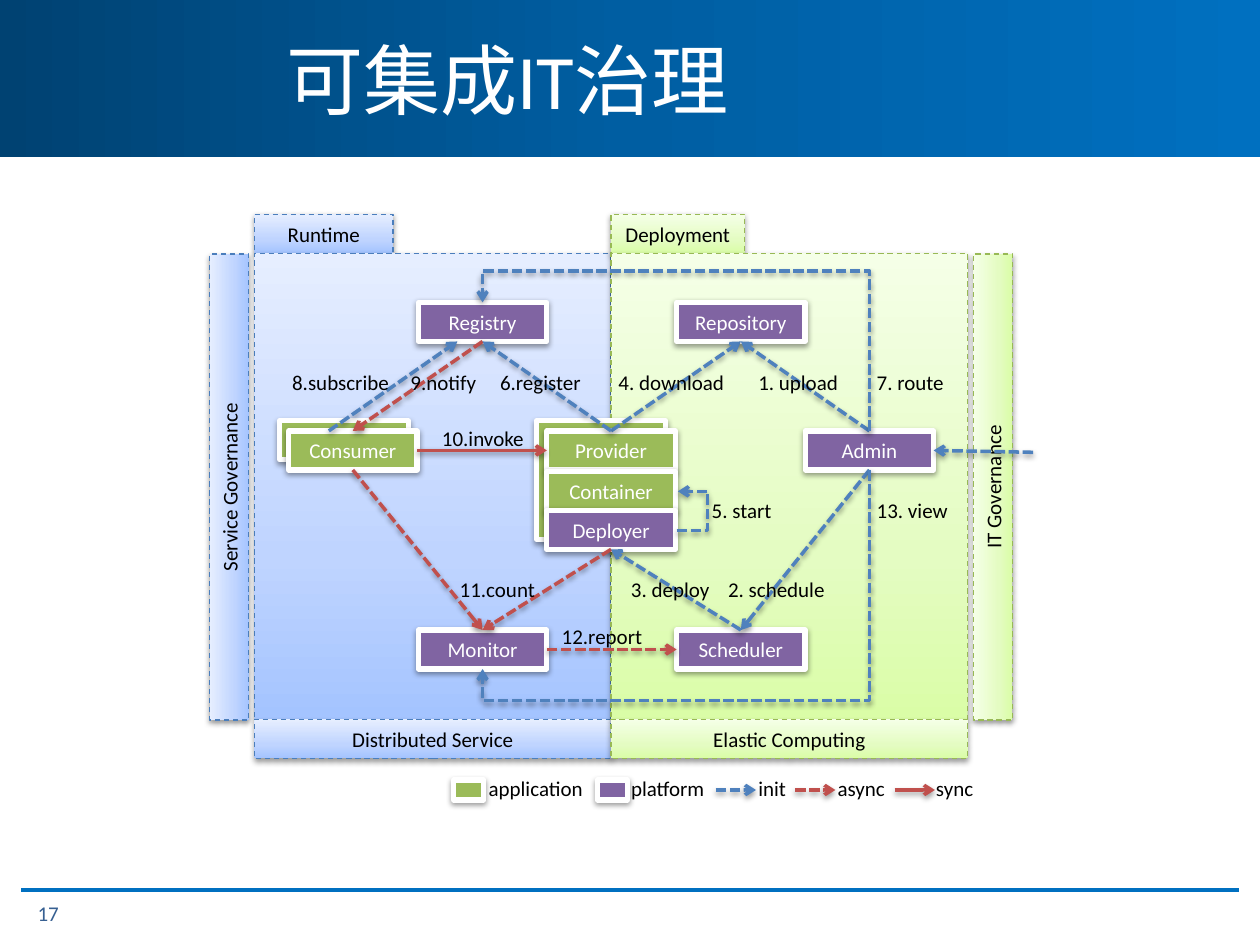
from lxml.etree import SubElement
from pptx import Presentation
from pptx.dml.color import RGBColor
from pptx.enum.dml import MSO_LINE
from pptx.enum.shapes import MSO_CONNECTOR, MSO_SHAPE
from pptx.enum.text import MSO_ANCHOR, MSO_AUTO_SIZE, PP_ALIGN
from pptx.oxml.ns import qn
from pptx.util import Emu, Pt

SCALE = 9144  # EMU per px, at 100 px to the inch
TOP, LEFT, BOTTOM, RIGHT = range(4)
GREEN, PURPLE, BLUE, RED, WHITE = "9BBB59", "8064A2", "4F81BD", "C0504D", "FFFFFF"
HEADER_STOPS = [(0, "004272"), (50, "005EA2"), (100, "0070C0")]
BLUE_PANEL = ([(0, "A4C4FF"), (35, "BFD4FF"), (100, "E6EEFF")], "4B7EBC")
GREEN_PANEL = ([(0, "DAFDA7"), (35, "E4FCC2"), (100, "F5FFE7")], "98B955")
NODE_WIDTH, NODE_HEIGHT = 102, 31
PANEL_WIDTH, PANEL_HEIGHT = 283, 370


def px(value):
    return Emu(round(value * SCALE))


def color(value):
    return RGBColor.from_string(value)


def write_text(frame, text, size=12, fill="000000", align=PP_ALIGN.LEFT,
               anchor=MSO_ANCHOR.MIDDLE, wrap=True):
    frame.word_wrap = wrap
    frame.vertical_anchor = anchor
    paragraph = frame.paragraphs[0]
    paragraph.alignment = align
    run = paragraph.add_run()
    run.text = text
    run.font.name = "Calibri"
    run.font.size = Pt(size)
    run.font.color.rgb = color(fill)


def fill_gradient(shape, stops, angle):
    shape.fill.gradient()
    shape.fill.gradient_angle = angle
    stop_list = shape.element.spPr.find(".//" + qn("a:gsLst"))
    for old_stop in list(stop_list):
        stop_list.remove(old_stop)
    for position, value in stops:
        stop = SubElement(stop_list, qn("a:gs"), pos=str(position * 1000))
        SubElement(stop, qn("a:srgbClr"), val=value)


def add_shadow(effects):
    shadow = SubElement(effects, qn("a:outerShdw"), blurRad="40000", dist="20000",
                        dir="5400000", rotWithShape="0")
    black = SubElement(shadow, qn("a:srgbClr"), val="000000")
    SubElement(black, qn("a:alpha"), val="38000")


class Diagram:
    """Holds the current slide and the look of its diagram parts."""

    def __init__(self, slide):
        self.slide = slide
        self.shapes = slide.shapes

    def rectangle(self, x, y, width, height):
        shape = self.shapes.add_shape(MSO_SHAPE.RECTANGLE, px(x), px(y), px(width), px(height))
        shape.shadow.inherit = False
        return shape

    def header(self, text):
        bar = self.rectangle(0, 0, 1000, 125)
        fill_gradient(bar, HEADER_STOPS, 0)
        bar.line.fill.background()
        title = self.shapes.title
        title.left, title.top, title.width, title.height = px(217), px(0), px(783), px(125)
        write_text(title.text_frame, text, size=44, fill=WHITE)
        bar.element.addnext(title.element)

    def footer(self, number):
        rule = self.shapes.add_connector(MSO_CONNECTOR.STRAIGHT, px(17), px(706), px(983), px(706))
        rule.line.color.rgb = color("0070C0")
        rule.line.width = Pt(2.25)
        SubElement(rule.element.spPr, qn("a:effectLst"))
        box = self.shapes.add_textbox(px(20), px(705), px(110), px(40))
        write_text(box.text_frame, number, fill="376092")

    def panel(self, x, y, width, height, look, text="", rotation=0):
        stops, outline = look
        shape = self.rectangle(x, y, width, height)
        fill_gradient(shape, stops, 90)
        shape.line.color.rgb = color(outline)
        shape.line.width = Pt(0.75)
        shape.line.dash_style = MSO_LINE.DASH
        shape.rotation = rotation
        add_shadow(shape.element.spPr.find(qn("a:effectLst")))
        if text:
            write_text(shape.text_frame, text, align=PP_ALIGN.CENTER)

    def node(self, x, y, fill, text="", width=NODE_WIDTH, height=NODE_HEIGHT):
        shape = self.rectangle(x, y, width, height)
        shape.fill.solid()
        shape.fill.fore_color.rgb = color(fill)
        shape.line.color.rgb = color(WHITE)
        shape.line.width = Pt(3)
        add_shadow(shape.element.spPr.find(qn("a:effectLst")))
        if text:
            write_text(shape.text_frame, text, fill=WHITE, align=PP_ALIGN.CENTER)
        return shape

    def label(self, x, y, width, text):
        box = self.shapes.add_textbox(px(x), px(y), px(width), px(30))
        write_text(box.text_frame, text, anchor=MSO_ANCHOR.TOP, wrap=False)
        box.text_frame.auto_size = MSO_AUTO_SIZE.SHAPE_TO_FIT_TEXT

    def arrow(self, start, end, stroke, dashed=True, kind=MSO_CONNECTOR.STRAIGHT):
        """Each end is an (x, y) point or a (shape, side) pair to join."""
        ends = [point if isinstance(point[0], int) else (0, 0) for point in (start, end)]
        connector = self.shapes.add_connector(kind, *(px(value) for point in ends for value in point))
        if not isinstance(start[0], int):
            connector.begin_connect(*start)
        if not isinstance(end[0], int):
            connector.end_connect(*end)
        connector.line.color.rgb = color(stroke)
        connector.line.width = Pt(2)
        if dashed:
            connector.line.dash_style = MSO_LINE.SQUARE_DOT
        SubElement(connector.line._get_or_add_ln(), qn("a:tailEnd"), type="arrow")
        add_shadow(SubElement(connector.element.spPr, qn("a:effectLst")))
        return connector

    def detour(self, start, end, box, bend, rotation=0, flip=False):
        """Elbow arrow; box is its unrotated frame, bend a multiple of its width."""
        connector = self.arrow(start, end, BLUE, kind=MSO_CONNECTOR.ELBOW)
        connector.left, connector.top, connector.width, connector.height = map(px, box)
        frame = connector.element.spPr.find(qn("a:xfrm"))
        frame.set("rot", str(rotation * 60000))
        frame.set("flipH", "0")
        frame.set("flipV", str(int(flip)))
        adjustments = connector.element.spPr.find(".//" + qn("a:avLst"))
        SubElement(adjustments, qn("a:gd"), name="adj1", fmla=f"val {round(bend * 100000)}")

    def vertical_detour(self, start, end, from_point, to_point, lane):
        """Leave vertically, run left along the lane, and return to the target."""
        (x1, y1), (x2, y2) = from_point, to_point
        rise, run = abs(y2 - y1), abs(x2 - x1)
        box = ((x1 + x2 - rise) / 2, (y1 + y2 - run) / 2, rise, run)
        upward = y2 < y1
        self.detour(start, end, box, (lane - y1) / (y2 - y1), 270 if upward else 90, upward)


def main():
    presentation = Presentation()
    presentation.slide_width, presentation.slide_height = px(1000), px(750)
    diagram = Diagram(presentation.slides.add_slide(presentation.slide_layouts[5]))
    diagram.header("可集成IT治理")
    diagram.footer("17")

    for x, tab_width, look, tab, base, side_x, side in (
            (202, 110, BLUE_PANEL, "Runtime", "Distributed Service", -3, "Service Governance"),
            (485, 106, GREEN_PANEL, "Deployment", "Elastic Computing", 603, "IT Governance")):
        diagram.panel(x, 170, tab_width, 31, look, tab)
        diagram.panel(x, 201, PANEL_WIDTH, PANEL_HEIGHT, look)
        diagram.panel(x, 571, PANEL_WIDTH, 31, look, base)
        diagram.panel(side_x, 371, PANEL_HEIGHT, 31, look, side, rotation=270)

    diagram.node(426, 334, GREEN, height=94)
    diagram.node(222, 334, GREEN)
    nodes = {name: diagram.node(x, y, fill, name) for name, x, y, fill in (
        ("Registry", 332, 240, PURPLE), ("Repository", 537, 240, PURPLE),
        ("Consumer", 229, 342, GREEN), ("Provider", 434, 342, GREEN),
        ("Admin", 639, 342, PURPLE), ("Container", 434, 374, GREEN),
        ("Deployer", 434, 405, PURPLE), ("Monitor", 332, 500, PURPLE),
        ("Scheduler", 537, 500, PURPLE))}

    for source, source_side, target, target_side, stroke, dashed in (
            ("Consumer", BOTTOM, "Monitor", TOP, RED, True),
            ("Consumer", RIGHT, "Provider", LEFT, RED, False),
            ("Registry", BOTTOM, "Consumer", TOP, RED, True),
            ("Provider", TOP, "Repository", BOTTOM, BLUE, True),
            ("Admin", TOP, "Repository", BOTTOM, BLUE, True),
            ("Monitor", RIGHT, "Scheduler", LEFT, RED, True),
            ("Admin", BOTTOM, "Scheduler", TOP, BLUE, True),
            ("Provider", TOP, "Registry", BOTTOM, BLUE, True),
            ("Deployer", BOTTOM, "Monitor", TOP, RED, True),
            ("Scheduler", TOP, "Deployer", BOTTOM, BLUE, True)):
        diagram.arrow((nodes[source], source_side), (nodes[target], target_side), stroke, dashed)
    diagram.arrow((261, 342), (363, 271), BLUE)
    diagram.arrow((820, 359), (nodes["Admin"], RIGHT), BLUE)

    diagram.vertical_detour((nodes["Admin"], TOP), (nodes["Registry"], TOP),
                            (690, 342), (383, 240), lane=215)
    diagram.vertical_detour((nodes["Admin"], BOTTOM), (nodes["Monitor"], BOTTOM),
                            (690, 373), (383, 531), lane=556)
    diagram.detour((nodes["Deployer"], RIGHT), (nodes["Container"], RIGHT),
                   (537, 390, 1, 31), bend=25, flip=True)

    for x, y, width, text in (
            (222, 288, 102, "8.subscribe"), (316, 288, 73, "9.notify"),
            (387, 288, 85, "6.register"), (481, 288, 108, "4. download"),
            (592, 288, 84, "1. upload"), (686, 288, 74, "7. route"),
            (341, 333, 86, "10.invoke"), (555, 390, 68, "5. start"),
            (686, 390, 79, "13. view"), (355, 453, 81, "11.count"),
            (491, 453, 83, "3. deploy"), (568, 453, 98, "2. schedule"),
            (436, 490, 85, "12.report"), (378, 611, 96, "application"),
            (491, 611, 79, "platform"), (592, 611, 47, "init"),
            (655, 611, 63, "async"), (733, 611, 55, "sync")):
        diagram.label(x, y, width, text)

    for x, fill in ((360, GREEN), (474, PURPLE)):
        diagram.node(x, 619, fill, width=24, height=16)
    for x, stroke, dashed in ((568, BLUE, True), (631, RED, True), (710, RED, False)):
        diagram.arrow((x, 627), (x + 32, 627), stroke, dashed)

    presentation.save("out.pptx")


if __name__ == "__main__":
    main()
